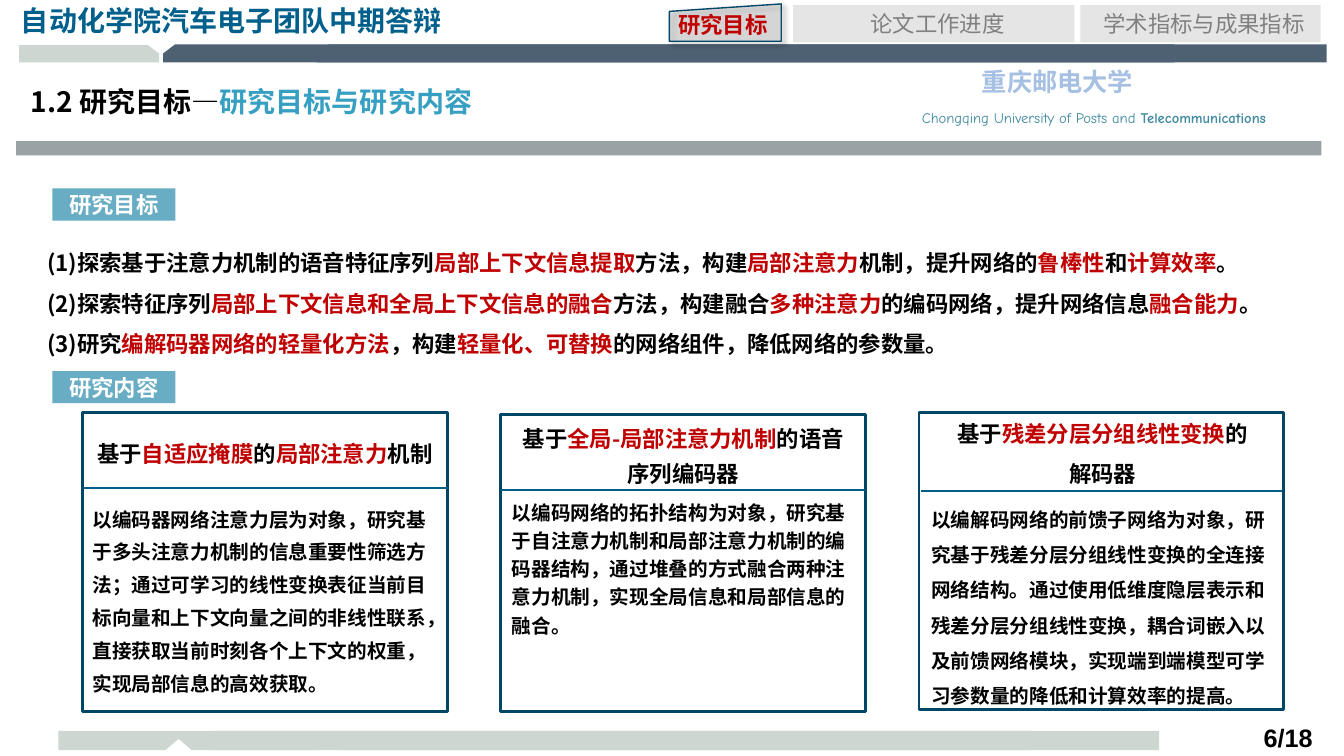
from itertools import cycle

from lxml import etree
from pptx import Presentation
from pptx.dml.color import RGBColor
from pptx.enum.shapes import MSO_CONNECTOR, MSO_SHAPE
from pptx.enum.text import MSO_ANCHOR, MSO_AUTO_SIZE, PP_ALIGN
from pptx.oxml.ns import qn
from pptx.util import Cm, Pt

LEFT, MID, RIGHT = PP_ALIGN.LEFT, PP_ALIGN.CENTER, PP_ALIGN.RIGHT
TOP, CENTRE = MSO_ANCHOR.TOP, MSO_ANCHOR.MIDDLE
FIXED = MSO_AUTO_SIZE.NONE
RECT, SLANT = MSO_SHAPE.RECTANGLE, MSO_SHAPE.FLOWCHART_MANUAL_INPUT
STRAIGHT = MSO_CONNECTOR.STRAIGHT

BLACK, RED, GREY, WHITE = "000000", "C00000", "808080", "FFFFFF"
PALE, SLATE, NAVY, BLUE = "CDD6D1", "4E6172", "004767", "005E88"


def rgb(code):
    return RGBColor.from_string(code)


def mix(texts):
    """Pair the texts with black and red in turn."""
    return list(zip(texts, cycle((BLACK, RED))))


class Page:
    font = "Noto Sans CJK SC"

    def __init__(self, slide):
        self.slide = slide
        self.shapes = slide.shapes

    def put(self, shape, paras, size, align=LEFT, bold=True, lead=1.0,
            anchor=TOP, font=None, inset=(0.25, 0.13), wrap=True):
        """Fill a shape; a run is (text, colour) or (text, colour, bold)."""
        frame = shape.text_frame
        frame.word_wrap = wrap
        frame.auto_size = FIXED
        frame.vertical_anchor = anchor
        frame.margin_left = frame.margin_right = Cm(inset[0])
        frame.margin_top = frame.margin_bottom = Cm(inset[1])
        for i, runs in enumerate(paras):
            para = frame.add_paragraph() if i else frame.paragraphs[0]
            para.alignment = align
            para.line_spacing = lead
            para.space_before = para.space_after = Pt(0)
            for text, code, *heavy in runs:
                run = para.add_run()
                run.text = text
                run.font.size = Pt(size)
                run.font.bold = heavy[0] if heavy else bold
                run.font.color.rgb = rgb(code)
                run.font.name = font or self.font
                east = etree.SubElement(run.font._element, qn("a:ea"))
                east.set("typeface", font or self.font)

    def text(self, box, paras, size, **style):
        self.put(self.shapes.add_textbox(*map(Cm, box)), paras, size, **style)

    def holder(self, index, box, paras, size, **style):
        shape = self.slide.placeholders[index]
        shape.left, shape.top, shape.width, shape.height = map(Cm, box)
        self.put(shape, paras, size, **style)
        return shape

    def paint(self, shape, fill, line=None, width=1.0):
        shape.shadow.inherit = False
        if fill:
            shape.fill.solid()
            shape.fill.fore_color.rgb = rgb(fill)
        else:
            shape.fill.background()
        if line:
            shape.line.color.rgb = rgb(line)
            shape.line.width = Pt(width)
        else:
            shape.line.fill.background()
        return shape

    def block(self, box, fill=None, line=None, width=1.0, kind=RECT):
        shape = self.shapes.add_shape(kind, *map(Cm, box))
        return self.paint(shape, fill, line, width)

    def outline(self, points, fill):
        spots = [(Cm(x), Cm(y)) for x, y in points]
        build = self.shapes.build_freeform(*spots[0])
        build.add_line_segments(spots[1:], close=True)
        self.paint(build.convert_to_shape(), fill)

    def rule(self, left, right, y):
        line = self.shapes.add_connector(STRAIGHT, Cm(left), Cm(y), Cm(right), Cm(y))
        line.line.color.rgb = rgb(BLUE)
        line.line.width = Pt(1.5)
        etree.SubElement(line._element.spPr, qn("a:effectLst"))

    def label(self, top, text):
        shape = self.block((1.32, top, 3.1, 0.81), "68ADC3")
        self.put(shape, [[(text, WHITE)]], 16, align=MID, anchor=CENTRE)

    def tab(self, box, spot, text, live=False):
        """Draw a see-through tab; the live one is slanted and has a shadow."""
        shape = self.block(box, GREY, NAVY if live else None,
                           kind=SLANT if live else RECT)
        props = shape._element.spPr
        tint = props.find(qn("a:solidFill"))[0]
        etree.SubElement(tint, qn("a:alpha"), val="20000")
        if live:
            cast = etree.SubElement(props.find(qn("a:effectLst")), qn("a:outerShdw"),
                                    blurRad=str(Pt(4)), dist=str(Pt(3)),
                                    dir="2700000", algn="tl", rotWithShape="0")
            dark = etree.SubElement(cast, qn("a:srgbClr"), val=BLACK)
            etree.SubElement(dark, qn("a:alpha"), val="40000")
        self.text(spot, [[(text, RED if live else GREY)]], 16, bold=live,
                  align=LEFT if live else MID)


GOALS = [
    ["(1)探索基于注意力机制的语音特征序列", "局部上下文信息提取", "方法，构建",
     "局部注意力", "机制，提升网络的", "鲁棒性", "和", "计算效率", "。"],
    ["(2)探索特征序列", "局部上下文信息和全局上下文信息的融合", "方法，构建融合",
     "多种注意力", "的编码网络，提升网络信息", "融合能力", "。"],
    ["(3)研究", "编解码器网络的轻量化方法", "，构建", "轻量化、可替换",
     "的网络组件，降低网络的参数量。"],
]

# frame, rule (left, right, y), head box, head spacing, head, body box, body spacing, body
CARDS = [
    ((2.08, 10.39, 9.19, 7.54), (2.08, 11.27, 12.29),
     (2.08, 10.77, 9.19, 1.07), 1.3,
     [["基于", "自适应掩膜", "的", "局部注意力", "机制"]],
     (2.08, 12.42, 9.3, 5.18), 1.4,
     "以编码器网络注意力层为对象，研究基于多头注意力机制的信息重要性筛选方法；"
     "通过可学习的线性变换表征当前目标向量和上下文向量之间的非线性联系，"
     "直接获取当前时刻各个上下文的权重，实现局部信息的高效获取。"),
    ((12.62, 10.44, 9.19, 7.49), (12.62, 21.81, 12.34),
     (12.65, 10.39, 9.14, 1.96), 1.3,
     [["基于", "全局-局部注意力机制", "的语音序列编码器"]],
     (12.65, 12.37, 9.14, 3.78), 1.2,
     "以编码网络的拓扑结构为对象，研究基于自注意力机制和局部注意力机制的编码器结构，"
     "通过堆叠的方式融合两种注意力机制，实现全局信息和局部信息的融合。"),
    ((23.16, 10.39, 9.19, 7.49), (23.22, 32.31, 12.37),
     (23.22, 10.11, 9.14, 2.18), 1.5,
     [["基于", "残差分层分组线性变换", "的"], ["解码器"]],
     (23.22, 12.37, 9.04, 5.54), 1.5,
     "以编解码网络的前馈子网络为对象，研究基于残差分层分组线性变换的全连接网络结构。"
     "通过使用低维度隐层表示和残差分层分组线性变换，耦合词嵌入以及前馈网络模块，"
     "实现端到端模型可学习参数量的降低和计算效率的提高。"),
]


def frame(page):
    """Draw the bands, the school name and the page number."""
    teal = "4089A0"
    page.text((21.59, 2.64, 11.96, 0.64),
              [[("Chongqing University of Posts and ", teal, False),
                ("Telecommunications", teal, True)]],
              10.5, align=MID, font="Comic Neue", inset=(0.18, 0.1))
    page.text((22.28, 1.57, 8.74, 0.97), [[("重庆邮电大学", "A5C0E2")]], 18,
              align=MID, inset=(0.18, 0.1))
    for left, right, tip in ((5.38, 29.21, 8.33), (1.47, 25.98, 4.5)):
        page.outline([(right, 18.42), (right, 18.9), (tip + 0.33, 18.9), (tip, 18.62),
                      (tip - 0.33, 18.9), (left, 18.9), (left, 18.42)], PALE)
    page.outline([(4.01, 1.57), (0.48, 1.57), (0.48, 1.14), (3.73, 1.14),
                  (4.01, 1.35)], PALE)
    page.block((0.41, 3.56, 32.89, 0.36), "99A2A5")
    for left, right in ((7.98, 33.43), (4.11, 29.59)):
        page.outline([(right, 1.12), (right, 1.57), (left, 1.57), (left, 1.35),
                      (left + 0.3, 1.12)], SLATE)
    page.text((30.43, 18.06, 2.9, 0.56), [[("6/18", BLACK)]], 18,
              align=RIGHT, font="Arial")
    page.text((0.28, -0.03, 11.2, 1.12), [[("自动化学院汽车电子团队中期答辩", "00608B")]],
              20, wrap=False)


def main():
    deck = Presentation()
    deck.slide_width, deck.slide_height = Cm(33.87), Cm(19.05)
    page = Page(deck.slides.add_slide(deck.slide_layouts[1]))
    frame(page)

    page.holder(0, (0.53, 1.85, 15.29, 1.4),
                [[("1.2 研究目标—", BLACK), ("研究目标与研究内容", "379FC1")]],
                20, anchor=CENTRE)
    goals = page.holder(1, (0.94, 5.82, 31.29, 3.23), map(mix, GOALS), 16, lead=1.5)
    for para in goals.text_frame.paragraphs:
        props = para._p.get_or_add_pPr()
        props.set("marL", "0")
        props.set("indent", "0")
        etree.SubElement(props, qn("a:buNone"))

    page.label(4.75, "研究目标")
    page.label(9.35, "研究内容")
    for box, line, top, lead, head, low, gap, body in CARDS:
        page.block(box, line=NAVY, width=2)
        page.rule(*line)
        page.text(top, map(mix, head), 16, align=MID, lead=lead)
        page.text(low, [[(body, BLACK)]], 14, lead=gap)

    page.tab((16.87, 0.1, 2.82, 0.94), (16.84, 0.15, 2.84, 0.94), "研究目标", True)
    page.tab((19.99, 0.13, 7.09, 0.94), (20.14, 0.13, 6.98, 0.94), "论文工作进度")
    page.tab((27.23, 0.13, 6.05, 0.94), (27.36, 0.13, 5.97, 0.94), "学术指标与成果指标")
    deck.save("out.pptx")


if __name__ == "__main__":
    main()
